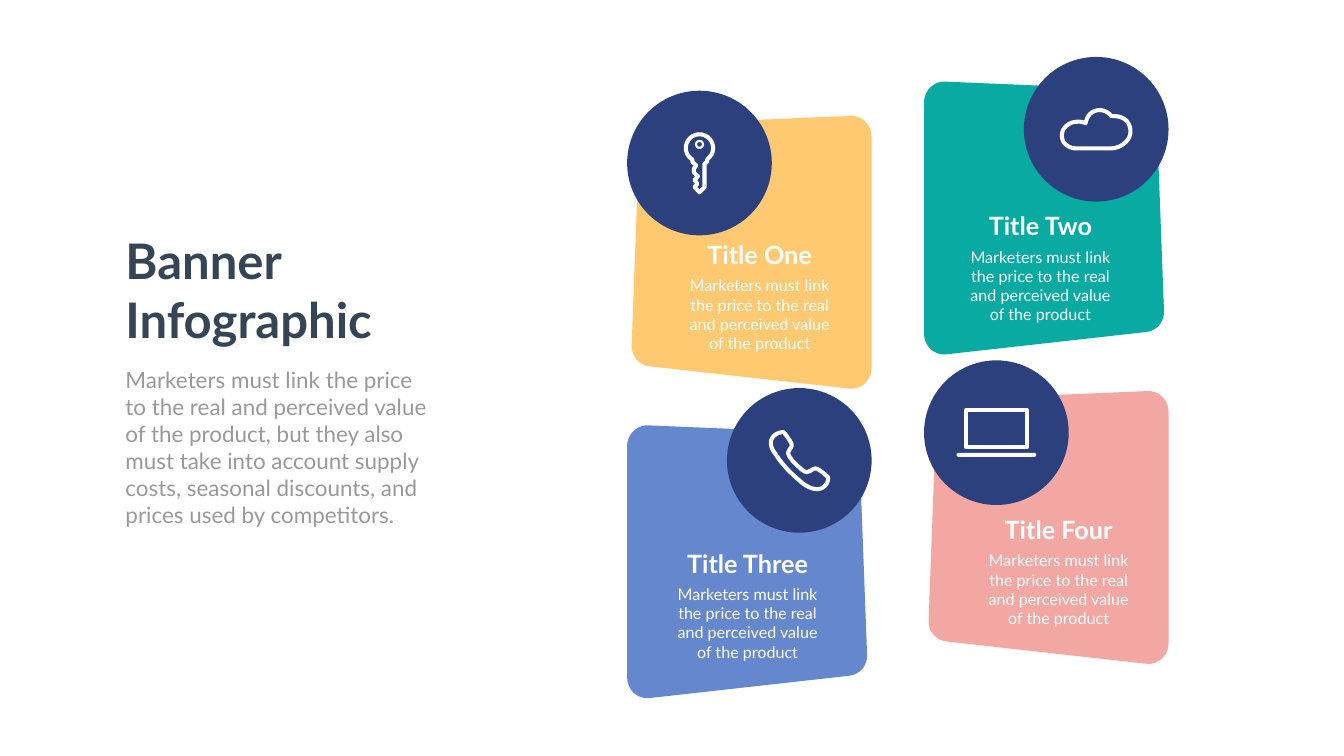
from dataclasses import dataclass

from lxml import etree
from pptx import Presentation
from pptx.dml.color import RGBColor
from pptx.enum.shapes import MSO_SHAPE
from pptx.enum.text import MSO_AUTO_SIZE, PP_ALIGN
from pptx.oxml.ns import qn
from pptx.util import Inches, Pt

OVAL = MSO_SHAPE.OVAL
ROUNDED = MSO_SHAPE.ROUNDED_RECTANGLE
FIT_SHAPE = MSO_AUTO_SIZE.SHAPE_TO_FIT_TEXT
LEFT, CENTER = PP_ALIGN.LEFT, PP_ALIGN.CENTER

WHITE = RGBColor(0xFF, 0xFF, 0xFF)
NAVY = RGBColor(0x2C, 0x40, 0x7E)
TEAL = RGBColor(0x08, 0xAA, 0xA2)
AMBER = RGBColor(0xFF, 0xC9, 0x71)
PINK = RGBColor(0xF3, 0xA7, 0xA3)
BLUE = RGBColor(0x65, 0x87, 0xCD)
SLATE = RGBColor(0x36, 0x45, 0x56)
GRAY = RGBColor(0x99, 0x99, 0x99)

FONT = "Lato"
CARD_WIDTH = 4.85
CIRCLE_SIZE = 2.87
BODY_WIDTH = 3.29
CURVE_STEPS = 10
ICON_LINE = 5.8
BODY = "Marketers must link the price to the real and perceived value of the product"
INTRO = (BODY + ", but they also must take into account supply costs, "
         "seasonal discounts, and prices used by competitors.")

Point = tuple[float, float]
# The first step is the start; then one point is a line, three are a Bézier curve.
Outline = list[tuple[Point, ...]]

BANNER: Outline = [
    ((0.45, 5.42),), ((4.39, 4.98),),
    ((4.61, 4.96), (4.77, 4.78), (4.76, 4.56)), ((4.61, 0.56),),
    ((4.6, 0.35), (4.43, 0.18), (4.22, 0.17)), ((0.42, 0.01),),
    ((0.19, 0), (0, 0.19), (0, 0.42)), ((0, 5.01),),
    ((0, 5.26), (0.21, 5.45), (0.45, 5.42)),
]
# Icon outlines are measured from the centre of their circle.
KEY: Outline = [
    ((0.27, -0.3),), ((0.27, -0.25), (0.26, -0.21), (0.24, -0.17)),
    ((0.21, -0.13), (0.18, -0.1), (0.15, -0.06)), ((0.15, -0.02),),
    ((0.1, 0.01),), ((0.1, 0.48),), ((0, 0.58),), ((-0.1, 0.48),),
    ((-0.04, 0.41),), ((-0.1, 0.34),), ((-0.03, 0.26),), ((-0.11, 0.19),),
    ((-0.11, 0.11),), ((-0.06, 0.05),), ((-0.14, -0.02),), ((-0.14, -0.07),),
    ((-0.22, -0.12), (-0.27, -0.2), (-0.27, -0.3)),
    ((-0.27, -0.45), (-0.15, -0.57), (0, -0.57)),
    ((0.15, -0.57), (0.27, -0.45), (0.27, -0.3)),
]
CLOUD: Outline = [
    ((-0.34, -0.15),), ((-0.42, -0.15), (-0.48, -0.14), (-0.53, -0.11)),
    ((-0.58, -0.08), (-0.62, -0.05), (-0.65, 0)),
    ((-0.69, 0.08), (-0.69, 0.17), (-0.65, 0.25)),
    ((-0.6, 0.33), (-0.5, 0.38), (-0.39, 0.38)), ((0.27, 0.38),),
    ((0.39, 0.38), (0.49, 0.34), (0.57, 0.27)),
    ((0.64, 0.21), (0.68, 0.13), (0.68, 0.04)),
    ((0.68, -0.04), (0.65, -0.11), (0.6, -0.17)),
    ((0.54, -0.23), (0.45, -0.26), (0.36, -0.26)), ((0.3, -0.26),),
    ((0.24, -0.34), (0.16, -0.38), (0.07, -0.38)),
    ((-0.07, -0.38), (-0.18, -0.29), (-0.21, -0.12)),
    ((-0.25, -0.14), (-0.3, -0.15), (-0.34, -0.15)),
]
SCREEN: Outline = [((-0.6, -0.45),), ((0.6, -0.45),), ((0.6, 0.29),), ((-0.6, 0.29),)]
PHONE: Outline = [
    ((-0.32, -0.56),), ((-0.41, -0.56), (-0.5, -0.51), (-0.54, -0.44)),
    ((-0.59, -0.36), (-0.56, -0.23), (-0.48, -0.14)),
    ((-0.42, -0.04), (-0.34, 0.06), (-0.26, 0.15)),
    ((-0.19, 0.23), (-0.11, 0.3), (-0.03, 0.37)), ((0.05, 0.44),),
    ((0.15, 0.52), (0.27, 0.58), (0.38, 0.57)),
    ((0.44, 0.56), (0.49, 0.53), (0.53, 0.48)),
    ((0.56, 0.44), (0.58, 0.38), (0.57, 0.33)), ((0.45, 0.23),),
    ((0.4, 0.19), (0.35, 0.16), (0.32, 0.16)),
    ((0.27, 0.16), (0.2, 0.24), (0.14, 0.23)),
    ((0.1, 0.23), (0.03, 0.17), (-0.03, 0.11)),
    ((-0.1, 0.05), (-0.15, -0.01), (-0.17, -0.04)),
    ((-0.2, -0.08), (-0.22, -0.12), (-0.22, -0.15)),
    ((-0.22, -0.19), (-0.15, -0.26), (-0.15, -0.3)),
    ((-0.15, -0.35), (-0.23, -0.46), (-0.3, -0.55)),
]


@dataclass(frozen=True)
class Card:
    title: str
    color: RGBColor
    icon: Outline
    left: float
    circle_top: float
    banner_top: float
    text_center: float
    title_top: float
    title_width: float = 2.37
    mirrored: bool = False


CARDS = [
    Card("Title Two", TEAL, CLOUD, 18.33, 1.13, 1.61, 20.64, 4.13),
    Card("Title One", AMBER, KEY, 12.44, 1.8, 2.29, 15.07, 4.7, mirrored=True),
    Card("Title Four", PINK, SCREEN, 18.33, 7.15, 7.75, 21, 10.16, mirrored=True),
    Card("Title Three", BLUE, PHONE, 12.44, 7.7, 8.43, 14.83, 10.82, title_width=2.83),
]


def flatten(outline: Outline) -> list[Point]:
    """Turn lines and Bézier curves into the points of a polygon."""
    points = [outline[0][0]]
    for step in outline[1:]:
        if len(step) == 1:
            points.append(step[0])
            continue
        controls = (points[-1], *step)
        for index in range(1, CURVE_STEPS + 1):
            t = index / CURVE_STEPS
            weights = ((1 - t) ** 3, 3 * t * (1 - t) ** 2, 3 * t * t * (1 - t), t ** 3)
            points.append(tuple(sum(w * p[axis] for w, p in zip(weights, controls))
                                for axis in (0, 1)))
    return points


def paint(shape, fill: RGBColor | None = None, line_width: float = 0) -> None:
    """Give a shape a plain fill, or a white rounded line when line_width is set."""
    shape.shadow.inherit = False
    if fill is None:
        shape.fill.background()
    else:
        shape.fill.solid()
        shape.fill.fore_color.rgb = fill
    if line_width:
        shape.line.color.rgb = WHITE
        shape.line.width = Pt(line_width)
        etree.SubElement(shape._element.spPr.find(qn("a:ln")), qn("a:round"))
    else:
        shape.line.fill.background()


def add_outline(slide, outline: Outline, left: float, top: float, flip: int = 1):
    points = [(Inches(left + flip * x), Inches(top + y)) for x, y in flatten(outline)]
    builder = slide.shapes.build_freeform(*points[0])
    builder.add_line_segments(points[1:], close=True)
    return builder.convert_to_shape()


def add_preset(slide, kind, left: float, top: float, width: float, height: float):
    return slide.shapes.add_shape(kind, Inches(left), Inches(top), Inches(width), Inches(height))


def add_text(slide, text: str, left: float, top: float, width: float, height: float, *,
             size: float, color: RGBColor = WHITE, bold: bool = False,
             align: PP_ALIGN = CENTER, wrap: bool = True) -> None:
    box = slide.shapes.add_textbox(Inches(left), Inches(top), Inches(width), Inches(height))
    frame = box.text_frame
    frame.text = text
    frame.word_wrap = wrap
    frame.auto_size = FIT_SHAPE
    for paragraph in frame.paragraphs:
        paragraph.alignment = align
        for run in paragraph.runs:
            run.font.name = FONT
            run.font.size = Pt(size)
            run.font.bold = bold
            run.font.color.rgb = color


def add_icon(slide, icon: Outline, center_x: float, center_y: float) -> None:
    paint(add_outline(slide, icon, center_x, center_y), line_width=ICON_LINE)
    if icon is KEY:
        paint(add_preset(slide, OVAL, center_x - 0.07, center_y - 0.44, 0.14, 0.14), line_width=3)
    elif icon is SCREEN:
        base = add_preset(slide, ROUNDED, center_x - 0.79, center_y + 0.4, 1.58, 0.08)
        base.adjustments[0] = 0.5
        paint(base, fill=WHITE)


def add_card(slide, card: Card) -> None:
    banner_left = card.left + CARD_WIDTH if card.mirrored else card.left
    flip = -1 if card.mirrored else 1
    paint(add_outline(slide, BANNER, banner_left, card.banner_top, flip), fill=card.color)

    circle_left = card.left if card.mirrored else card.left + CARD_WIDTH - CIRCLE_SIZE
    circle = add_preset(slide, OVAL, circle_left, card.circle_top, CIRCLE_SIZE, CIRCLE_SIZE)
    paint(circle, fill=NAVY)
    add_icon(slide, card.icon, circle_left + CIRCLE_SIZE / 2, card.circle_top + CIRCLE_SIZE / 2)

    add_text(slide, card.title, card.text_center - card.title_width / 2, card.title_top,
             card.title_width, 0.71, size=36, bold=True)
    add_text(slide, BODY, card.text_center - BODY_WIDTH / 2, card.title_top + 0.72,
             BODY_WIDTH, 1.65, size=23)


def main() -> None:
    presentation = Presentation()
    presentation.slide_width = Inches(26.66)
    presentation.slide_height = Inches(15)
    slide = presentation.slides.add_slide(presentation.slide_layouts[6])
    for card in CARDS:
        add_card(slide, card)
    add_text(slide, "Banner\nInfographic", 2.39, 4.52, 5.22, 2.46,
             size=70, color=SLATE, bold=True, align=LEFT, wrap=False)
    add_text(slide, INTRO, 2.39, 7.22, 6.28, 3.33, size=32, color=GRAY, align=LEFT)
    presentation.save("out.pptx")


if __name__ == "__main__":
    main()
